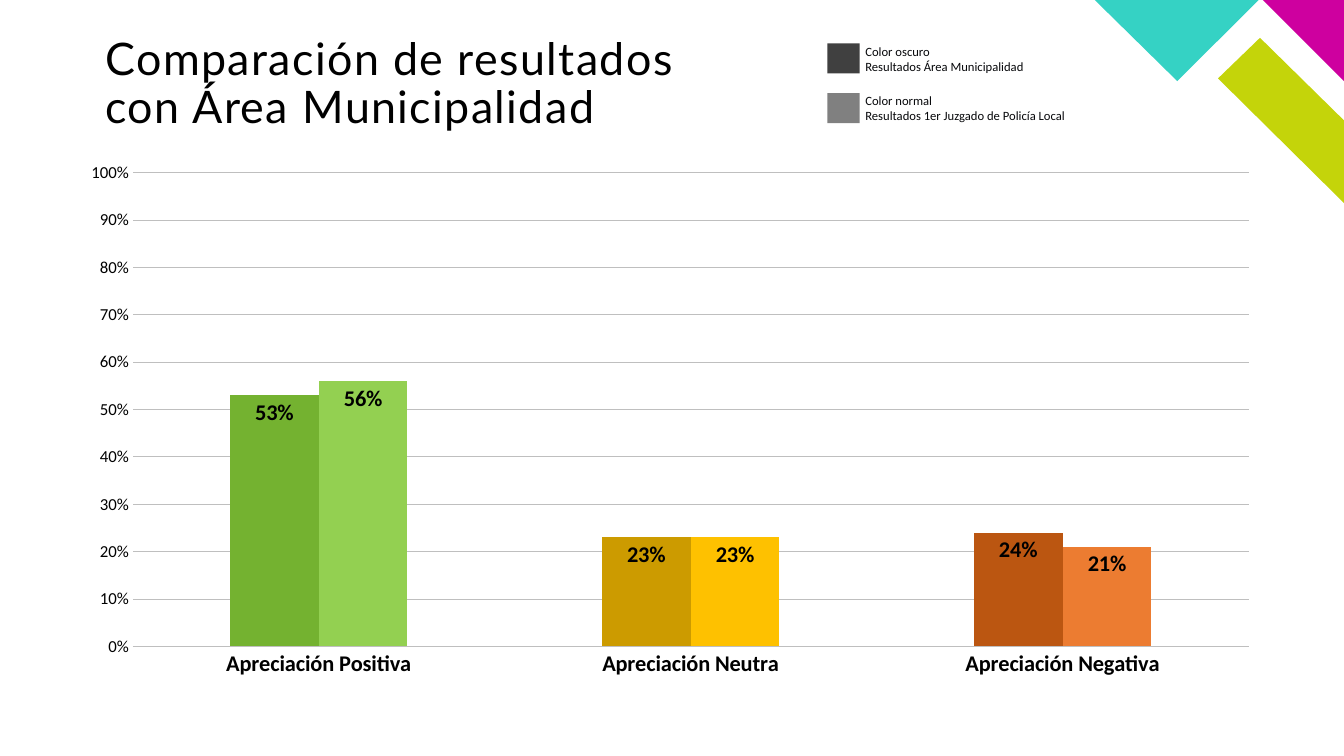
from lxml import etree
from pptx import Presentation
from pptx import util as u
from pptx.chart.data import CategoryChartData
from pptx.dml.color import RGBColor
from pptx.enum import chart as charts, shapes, text
from pptx.oxml import parse_xml
from pptx.oxml.ns import nsdecls, qn

BLACK = RGBColor(0x00, 0x00, 0x00)
INK = RGBColor(0x07, 0x08, 0x0B)
DARK_GREY = RGBColor(0x40, 0x40, 0x40)
MID_GREY = RGBColor(0x80, 0x80, 0x80)
GRID_GREY = RGBColor(0xBF, 0xBF, 0xBF)
LIME = RGBColor(0xC4, 0xD4, 0x0A)
MAGENTA = RGBColor(0xCE, 0x00, 0x9F)
TURQUOISE = RGBColor(0x35, 0xD2, 0xC4)
DARK_GREEN = RGBColor(0x74, 0xB2, 0x30)
GREEN = RGBColor(0x93, 0xD0, 0x51)
DARK_YELLOW = RGBColor(0xCC, 0x9B, 0x00)
YELLOW = RGBColor(0xFE, 0xC1, 0x00)
DARK_ORANGE = RGBColor(0xBB, 0x56, 0x11)
ORANGE = RGBColor(0xEC, 0x7C, 0x31)

CATEGORIES = ["Apreciación Positiva", "Apreciación Neutra", "Apreciación Negativa"]
SERIES = [
    ("Series 1", (0.53, 0.23, 0.24), TURQUOISE, (DARK_GREEN, DARK_YELLOW, DARK_ORANGE)),
    ("Series 2", (0.56, 0.23, 0.21), LIME, (GREEN, YELLOW, ORANGE)),
]
LEGEND = [
    (DARK_GREY, ("Color oscuro", "Resultados Área Municipalidad")),
    (MID_GREY, ("Color normal", "Resultados 1er Juzgado de Policía Local")),
]


def paint(shape, color):
    shape.shadow.inherit = False
    shape.fill.solid()
    shape.fill.fore_color.rgb = color
    shape.line.fill.background()


def set_font(font, size, color, name="Calibri", bold=False):
    font.size = u.Pt(size)
    font.name = name
    font.bold = bold
    font.color.rgb = color


def add_corner(slide, left, top):
    outlines = [
        (LIME, [(90, 145), (90, 85.5), (30.5, 27), (0, 56.5)]),
        (MAGENTA, [(90, 57.5), (90, 0), (31.5, 0)]),
        (TURQUOISE, [(-87.5, 0), (-29, 57.5), (29, 0)]),
    ]
    for color, points in outlines:
        corners = [(left + x, top + y) for x, y in points]
        builder = slide.shapes.build_freeform(*corners[0], scale=u.Pt(1))
        builder.add_line_segments(corners[1:], close=True)
        paint(builder.convert_to_shape(), color)


def add_title(slide, left, top, width, height):
    box = slide.shapes.add_textbox(u.Pt(left), u.Pt(top), u.Pt(width), u.Pt(height))
    frame = box.text_frame
    frame.word_wrap = True
    frame.vertical_anchor = text.MSO_ANCHOR.TOP
    frame.margin_left = frame.margin_top = frame.margin_right = frame.margin_bottom = 0
    paragraph = frame.paragraphs[0]
    paragraph.line_spacing = 0.9
    run = paragraph.add_run()
    run.text = "Comparación de resultados con Área Municipalidad"
    set_font(run.font, 32, BLACK, "Lato")
    run.font._element.set("spc", "100")


def add_legend(slide, left, top, width, row_pitch):
    for row, (color, lines) in enumerate(LEGEND):
        row_top = top + row * row_pitch
        swatch = slide.shapes.add_shape(
            shapes.MSO_SHAPE.RECTANGLE,
            u.Pt(left), u.Pt(row_top + 3.5), u.Pt(23), u.Pt(21.5))
        paint(swatch, color)
        label = slide.shapes.add_textbox(
            u.Pt(left + 20), u.Pt(row_top), u.Pt(width - 20), u.Pt(29))
        frame = label.text_frame
        frame.word_wrap = True
        for index, line in enumerate(lines):
            paragraph = frame.add_paragraph() if index else frame.paragraphs[0]
            run = paragraph.add_run()
            run.text = line
            set_font(run.font, 9, INK)


def place_plot(chart, **fractions):
    layout = parse_xml(
        f'<c:layout {nsdecls("c")}><c:manualLayout><c:layoutTarget val="inner"/>'
        '<c:xMode val="edge"/><c:yMode val="edge"/></c:manualLayout></c:layout>')
    for name, fraction in fractions.items():
        etree.SubElement(layout[0], qn(f"c:{name}")).set("val", str(fraction))
    plot_area = chart._chartSpace.chart.plotArea
    for automatic in plot_area.findall(qn("c:layout")):
        plot_area.remove(automatic)
    plot_area.insert(0, layout)


def style_axes(chart):
    category_axis = chart.category_axis
    set_font(category_axis.tick_labels.font, 16, BLACK, bold=True)
    category_axis.format.line.color.rgb = GRID_GREY
    category_axis.format.line.width = u.Pt(0.75)
    value_axis = chart.value_axis
    set_font(value_axis.tick_labels.font, 12, BLACK)
    value_axis.tick_labels.number_format = "0%"
    value_axis.tick_labels.number_format_is_linked = False
    value_axis.minimum_scale = 0
    value_axis.maximum_scale = 1
    value_axis.major_unit = 0.1
    value_axis.format.line.fill.background()
    value_axis.major_gridlines.format.line.color.rgb = GRID_GREY
    value_axis.major_gridlines.format.line.width = u.Pt(0.5)
    for axis in (category_axis, value_axis):
        axis.major_tick_mark = axis.minor_tick_mark = charts.XL_TICK_MARK.NONE


def add_results_chart(slide, left, top, width, height):
    chart_data = CategoryChartData(number_format="0%")
    chart_data.categories = CATEGORIES
    for name, values, _, _ in SERIES:
        chart_data.add_series(name, values)
    chart = slide.shapes.add_chart(
        charts.XL_CHART_TYPE.COLUMN_CLUSTERED,
        u.Pt(left), u.Pt(top), u.Pt(width), u.Pt(height), chart_data).chart
    chart.has_title = False
    chart.has_legend = False
    set_font(chart.font, 10, BLACK)
    style_axes(chart)
    place_plot(chart, x=0.05, y=0.04, w=0.93, h=0.88)
    plot = chart.plots[0]
    plot.gap_width = 219
    plot.overlap = 0
    plot.vary_by_categories = False
    for series, (_, _, color, point_colors) in zip(plot.series, SERIES):
        series.format.fill.solid()
        series.format.fill.fore_color.rgb = color
        for index, point_color in enumerate(point_colors):
            fill = series.points[index].format.fill
            fill.solid()
            fill.fore_color.rgb = point_color
        labels = series.data_labels
        labels.show_value = True
        labels.position = charts.XL_LABEL_POSITION.INSIDE_END
        labels.number_format = "0%"
        labels.number_format_is_linked = False
        set_font(labels.font, 16, BLACK, bold=True)


def main():
    presentation = Presentation()
    presentation.slide_width = u.Pt(960)
    presentation.slide_height = u.Pt(540)
    slide = presentation.slides.add_slide(presentation.slide_layouts[6])
    add_corner(slide, 870, 0)
    add_title(slide, 75.5, 26, 426, 48)
    add_results_chart(slide, 52, 108, 857, 384.5)
    add_legend(slide, 591, 27.5, 249, 35.5)
    presentation.save("out.pptx")


if __name__ == "__main__":
    main()
